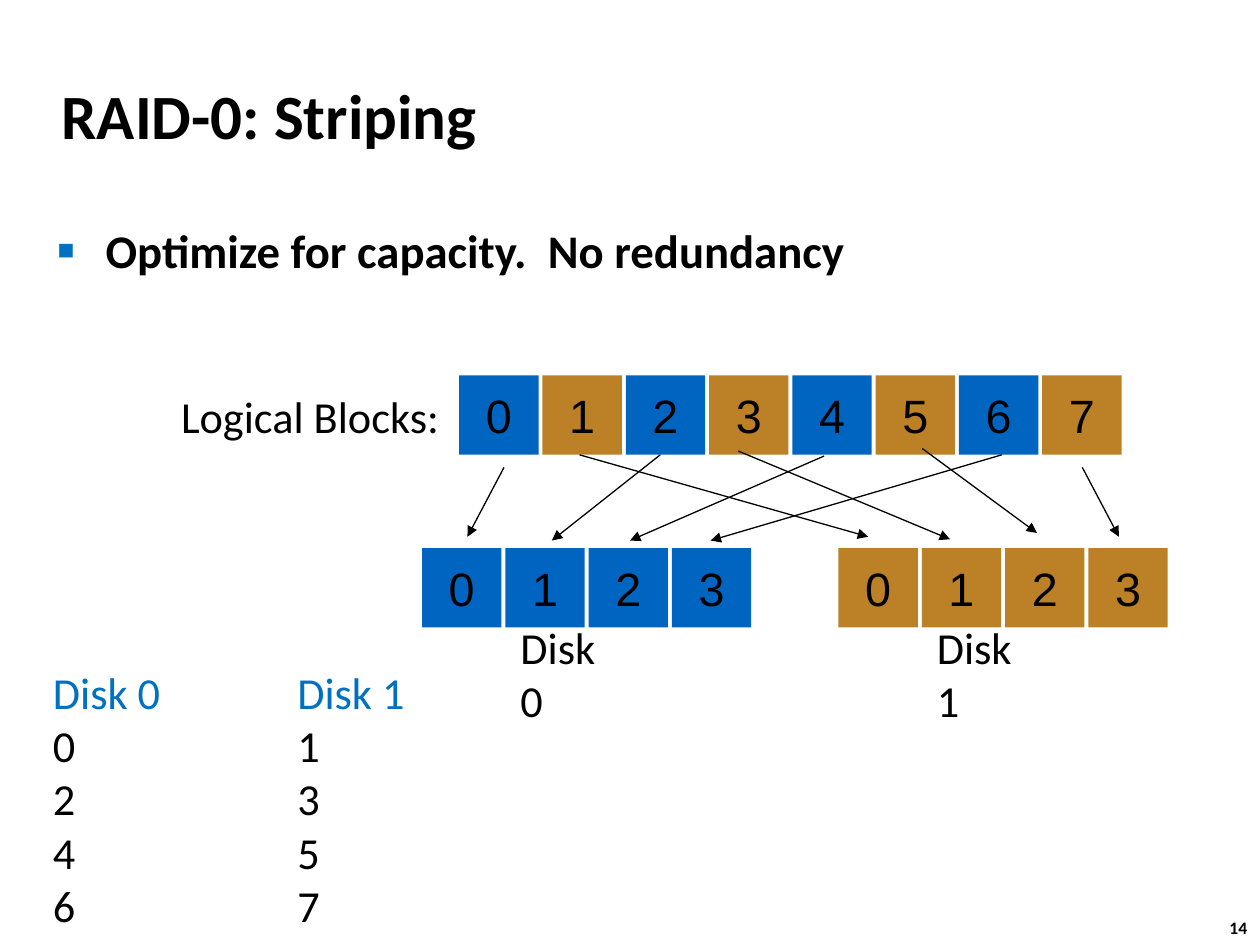
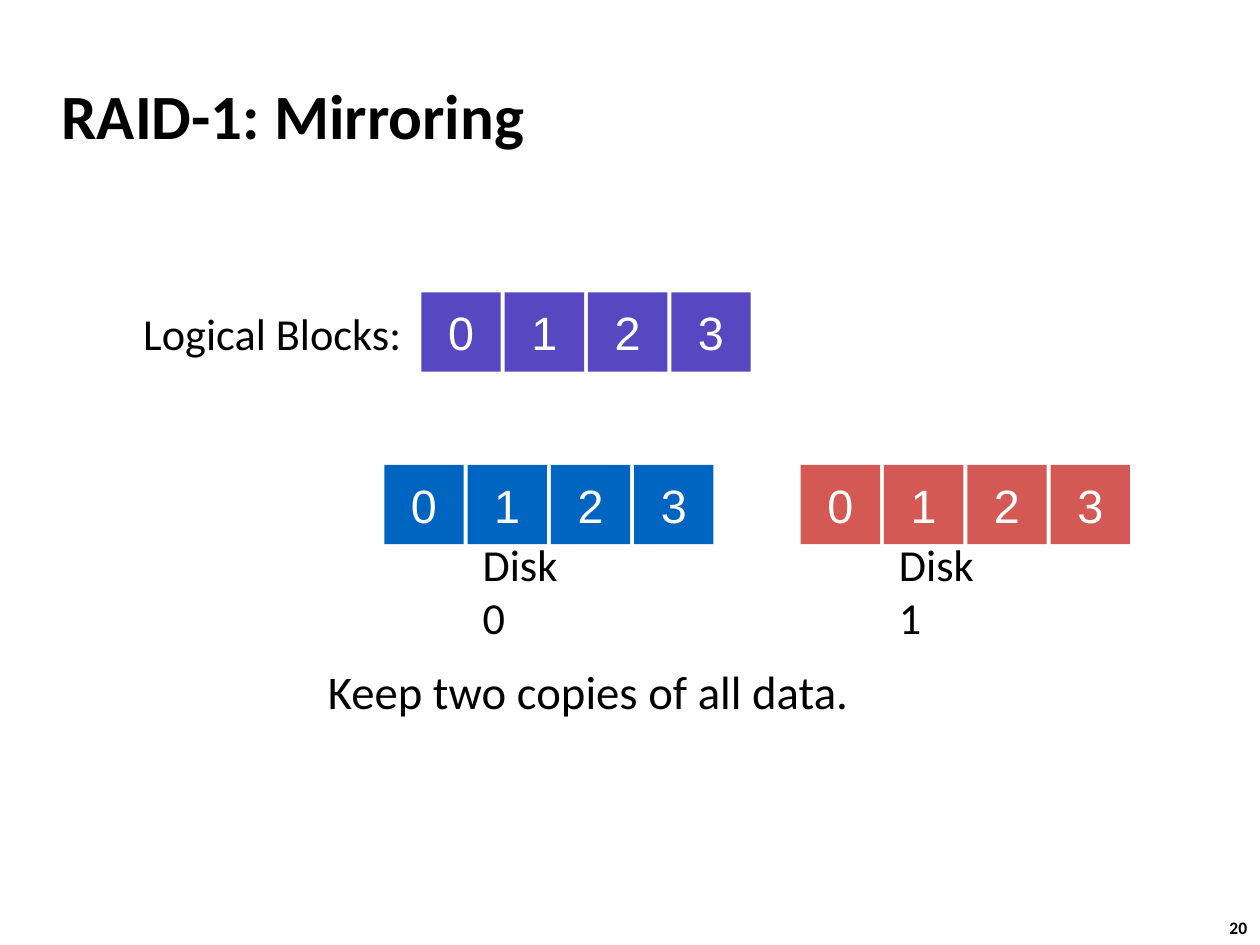
from lxml.etree import SubElement
from pptx import Presentation
from pptx.dml.color import RGBColor
from pptx.enum.shapes import MSO_CONNECTOR as Connector, MSO_SHAPE as Shape
from pptx.enum.text import MSO_ANCHOR as Anchor, MSO_AUTO_SIZE as AutoSize, PP_ALIGN as Align
from pptx.oxml.ns import qn
from pptx.util import Emu, Inches, Pt

SLIDE_WIDTH, SLIDE_HEIGHT = Inches(10), Inches(7.5)
GRID_COLUMNS = 100
CELL = SLIDE_WIDTH / GRID_COLUMNS

BLACK = RGBColor(0x00, 0x00, 0x00)
WHITE = RGBColor(0xFF, 0xFF, 0xFF)
BLUE = RGBColor(0x00, 0x65, 0xC1)
ORANGE = RGBColor(0xBC, 0x80, 0x27)
PURPLE = RGBColor(0x57, 0x47, 0xC1)
RED = RGBColor(0xD4, 0x59, 0x54)
ACCENT = RGBColor(0x00, 0x70, 0xC0)

BLOCK_SIZE = 6.3
BLOCK_PITCH = 6.61
DISK_BLOCKS = 4

NO_MARGINS = dict.fromkeys(("margin_left", "margin_top", "margin_right", "margin_bottom"), 0)
LABEL_MARGINS = dict.fromkeys(NO_MARGINS, Inches(0.04))
GROWING = {"word_wrap": False, "auto_size": AutoSize.SHAPE_TO_FIT_TEXT}

TITLE = {
    "frame": {"word_wrap": True, "vertical_anchor": Anchor.MIDDLE},
    "font": {"name": "Calibri", "size": Pt(36), "bold": True},
}
BULLET = {
    "frame": {"word_wrap": True},
    "font": {"name": "Calibri", "size": Pt(26.7), "bold": True},
}
STATEMENT = {
    "frame": {"word_wrap": True},
    "paragraph": {"alignment": Align.CENTER},
    "font": {"name": "Calibri", "size": Pt(26.7)},
}
PAGE_NUMBER = {
    "frame": GROWING,
    "font": {"name": "Calibri", "size": Pt(10), "bold": True},
}
BLOCK = {
    "frame": {**NO_MARGINS, "vertical_anchor": Anchor.MIDDLE},
    "paragraph": {"alignment": Align.CENTER},
    "font": {"name": "Arial", "size": Pt(26.7)},
}
LABEL = {
    "frame": {**LABEL_MARGINS, **GROWING, "vertical_anchor": Anchor.MIDDLE},
    "font": {"name": "Calibri", "size": Pt(25.3)},
}
RIGHT_LABEL = {**LABEL, "paragraph": {"alignment": Align.RIGHT}}
DISK_LIST = {
    "frame": {**NO_MARGINS, **GROWING},
    "font": {"name": "Calibri", "size": Pt(25.3)},
}


def grid(*cells):
    return [Emu(round(cell * CELL)) for cell in cells]


def add_text(slide, lines, place, style, colors=(BLACK,), fill=None):
    if fill is None:
        shape = slide.shapes.add_textbox(*grid(*place))
    else:
        shape = slide.shapes.add_shape(Shape.RECTANGLE, *grid(*place))
        shape.shadow.inherit = False
        shape.fill.solid()
        shape.fill.fore_color.rgb = fill
        shape.line.fill.background()
    frame = shape.text_frame
    frame.text = "\n".join(lines)
    for name, value in style["frame"].items():
        setattr(frame, name, value)
    for index, paragraph in enumerate(frame.paragraphs):
        for name, value in style.get("paragraph", {}).items():
            setattr(paragraph, name, value)
        font = paragraph.runs[0].font
        for name, value in style["font"].items():
            setattr(font, name, value)
        font.color.rgb = colors[min(index, len(colors) - 1)]
    return shape


presentation = Presentation()
presentation.slide_width, presentation.slide_height = SLIDE_WIDTH, SLIDE_HEIGHT
blank_layout = presentation.slide_layouts[6]

pages = [
    ("RAID-0: Striping", "14", 33.5, 29.8, [BLUE, ORANGE] * 4, (BLUE, ORANGE), BLACK),
    ("RAID-1: Mirroring", "20", 30.5, 23.2, [PURPLE] * 4, (BLUE, RED), WHITE),
]
slides = []
for title, number, left, top, logical_fills, disk_fills, digit_color in pages:
    slide = presentation.slides.add_slide(blank_layout)
    slides.append(slide)
    add_text(slide, [number], (96.6, 72.3, 3.7, 2.7), PAGE_NUMBER)
    add_text(slide, [title], (3.9, 4.9, 83, 8.3), TITLE)

    disk_top = top + 13.7
    block_rows = [(left + 2.95, top, logical_fills)]
    for disk, fill in enumerate(disk_fills):
        disk_left = left + disk * (DISK_BLOCKS + 1) * BLOCK_PITCH
        block_rows.append((disk_left, disk_top, [fill] * DISK_BLOCKS))
        add_text(slide, [f"Disk {disk}"], (disk_left + 7.4, disk_top + 7.45, 9.3, 5), LABEL)
    add_text(slide, ["Logical Blocks:"], (left - 20.45, top + 0.7, 22.2, 5), RIGHT_LABEL)

    for row_left, row_top, fills in block_rows:
        for index, fill in enumerate(fills):
            place = (row_left + index * BLOCK_PITCH, row_top, BLOCK_SIZE, BLOCK_SIZE)
            add_text(slide, [str(index)], place, BLOCK, (digit_color,), fill)

striping, mirroring = slides

bullet_box = add_text(
    striping, ["Optimize for capacity.  No redundancy"], (3.6, 17.1, 89.6, 6.2), BULLET
)
bullet_properties = bullet_box.text_frame.paragraphs[0]._p.get_or_add_pPr()
bullet_properties.set("marL", str(Inches(0.38)))
bullet_properties.set("indent", str(-Inches(0.38)))
bullet_color = SubElement(bullet_properties, qn("a:buClr"))
SubElement(bullet_color, qn("a:srgbClr"), val=str(ACCENT))
SubElement(bullet_properties, qn("a:buSzPct"), val="60000")
SubElement(bullet_properties, qn("a:buFont"), typeface="Arial")
SubElement(bullet_properties, qn("a:buChar"), char="■")

block_arrows = [
    (40, 37.1, 37.1, 42.6),
    (46, 36.1, 68.9, 42.6),
    (52.4, 36.1, 43.8, 42.9),
    (58.6, 35.8, 75.4, 42.8),
    (65.4, 36.2, 50, 42.9),
    (73.2, 35.6, 82.3, 42.3),
    (79.5, 36.1, 56.4, 42.9),
    (85.9, 37.1, 88.8, 42.6),
]
for ends in block_arrows:
    arrow = striping.shapes.add_connector(Connector.STRAIGHT, *grid(*ends))
    arrow.line.color.rgb = BLACK
    arrow.line.width = Pt(0.75)
    SubElement(arrow.line._get_or_add_ln(), qn("a:tailEnd"), type="triangle")
    SubElement(arrow._element.spPr, qn("a:effectLst"))

for disk, list_left in enumerate((4.2, 23.6)):
    stored_blocks = [str(block) for block in range(disk, 2 * DISK_BLOCKS, 2)]
    place = (list_left, 52.8, 8.6, 21.3)
    add_text(striping, [f"Disk {disk}", *stored_blocks], place, DISK_LIST, (ACCENT, BLACK))

add_text(mirroring, ["Keep two copies of all data."], (1.9, 52.1, 89.6, 6.2), STATEMENT)

presentation.save("out.pptx")
